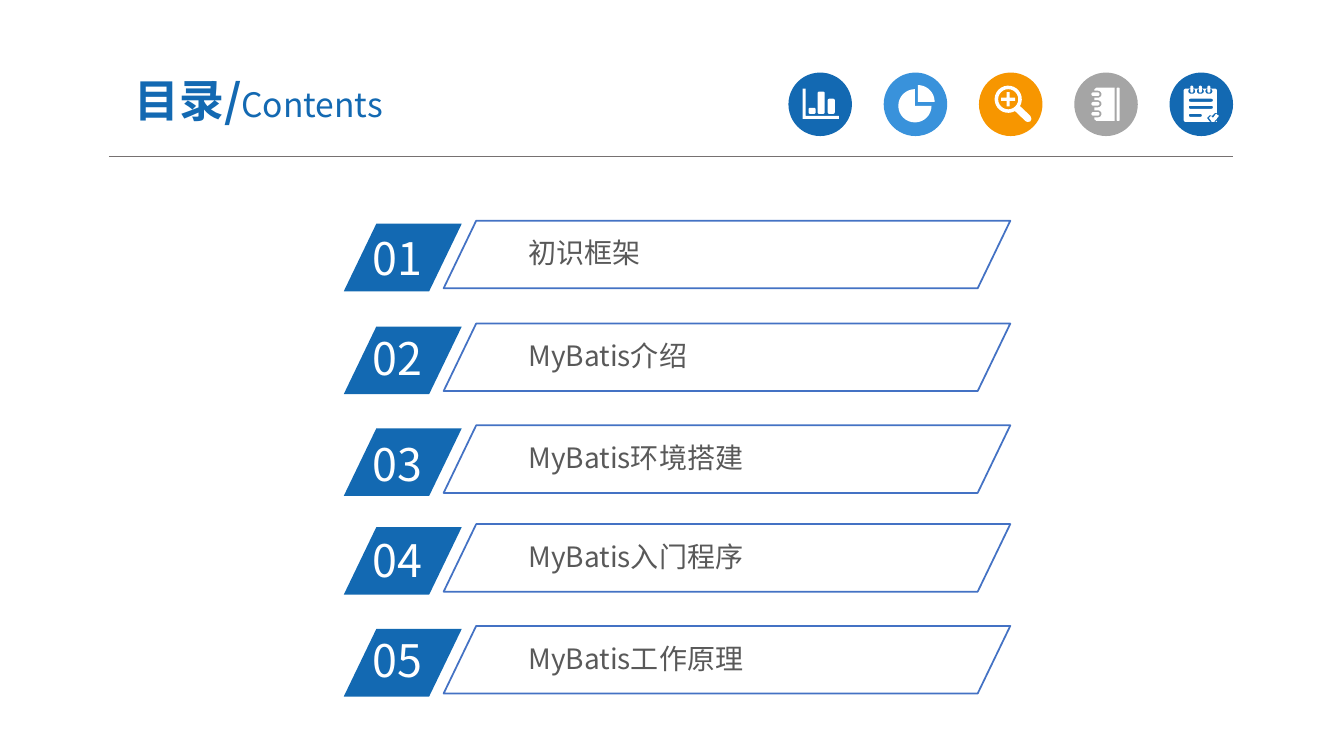
"""Build a contents slide with an icon header and five numbered entries."""
from math import cos, radians, sin

from lxml.etree import SubElement
from pptx import Presentation
from pptx.dml.color import RGBColor
from pptx.enum.shapes import MSO_CONNECTOR as CONN, MSO_SHAPE as SHAPE
from pptx.enum.text import MSO_ANCHOR as ANCHOR, MSO_AUTO_SIZE as AUTO, PP_ALIGN as ALIGN
from pptx.oxml.ns import qn
from pptx.util import Inches, Pt

FONT = "Noto Sans CJK SC"
BLUE, SKY, ORANGE, GREY = "1369B2", "3992DB", "F79600", "A5A5A5"
OUTLINE, RULE, TEXT, WHITE = "4472C4", "767171", "595959", "FFFFFF"


def color(value):
    return RGBColor.from_string(value)


def arc(cx, cy, radius, start=0, end=360, steps=24):
    angles = [radians(start + (end - start) * i / steps) for i in range(steps + 1)]
    return [(cx + radius * cos(a), cy + radius * sin(a)) for a in angles]


def rounded(x, y, w, h, radius):
    corners = [(x + w - radius, y + h - radius), (x + radius, y + h - radius),
               (x + radius, y + radius), (x + w - radius, y + radius)]
    return [point for i, (cx, cy) in enumerate(corners)
            for point in arc(cx, cy, radius, 90 * i, 90 * i + 90, 6)]


def bar_chart():
    axes = [(.14, .16), (.17, .16), (.17, .43), (.5, .43), (.5, .46), (.14, .46)]
    bars = [(.2, .06), (.29, .22), (.39, .15)]
    return [axes] + [rounded(x, .41 - h, .07, h, .015) for x, h in bars]


def pie_chart():
    return [[(.34, .29)] + arc(.34, .29, .165, -90, 0),
            [(.31, .33)] + arc(.31, .33, .165, 0, 270)]


def magnifier():
    cx, cy, long, thin = .29, .265, .07, .015
    handle = [(.51, .43), (.52, .46), (.51, .485), (.48, .49), (.46, .48)]
    quarter = [(thin, -long), (thin, -thin), (long, -thin)]
    plus = []
    for _ in range(4):
        plus += [(cx + x, cy + y) for x, y in quarter]
        quarter = [(-y, x) for x, y in quarter]
    return [arc(cx, cy, .135, 60, 390) + handle, arc(cx, cy, .1), plus]


def notebook():
    rings = (.215, .31, .41)
    body = [(.4, .48), (.4, .15), (.22, .15), (.2, .165)]
    for y in rings:
        body += [(.2, y - .035)] + arc(.235, y, .035, -90, 90, 8) + [(.2, y + .035)]
    body += [(.2, .465), (.22, .48)]
    return [body, rounded(.42, .15, .03, .33, .01)] + [
        rounded(.17, y - .018, .08, .036, .018) for y in rings]


def notepad():
    contours = [rounded(.14, .16, .33, .33, .02)]
    for x in (.205, .29, .375):
        contours += [rounded(x - .02, .16, .07, .05, .025), rounded(x, .13, .03, .07, .015)]
    contours += [rounded(.19, y, w, .03, .015) for y, w in ((.26, .24), (.33, .24), (.41, .13))]
    corner = [(.37, .45), (.4, .42), (.42, .43), (.45, .4), (.47, .4), (.47, .49), (.4, .49)]
    check = [(.39, .45), (.41, .43), (.43, .45), (.46, .41), (.49, .43), (.44, .49), (.42, .49)]
    return contours + [corner, check]


class Deck:
    """Hold the style and the current slide."""

    def __init__(self):
        self.prs = Presentation()
        self.prs.slide_width, self.prs.slide_height = Inches(13.33), Inches(7.5)
        self.s = self.prs.slides.add_slide(self.prs.slide_layouts[6])

    def paint(self, sp, fill=None, line=None, width=1.25):
        sp.shadow.inherit = False
        if fill:
            sp.fill.solid()
            sp.fill.fore_color.rgb = color(fill)
        else:
            sp.fill.background()
        if line:
            sp.line.color.rgb = color(line)
            sp.line.width = Pt(width)
        else:
            sp.line.fill.background()

    def shape(self, kind, box, fill=None, line=None, adj=None):
        sp = self.s.shapes.add_shape(kind, *map(Inches, box))
        if adj is not None:
            sp.adjustments[0] = adj
        self.paint(sp, fill, line)

    def rule(self, x1, x2, y):
        c = self.s.shapes.add_connector(CONN.STRAIGHT, *map(Inches, (x1, y, x2, y)))
        c.line.color.rgb = color(RULE)
        c.line.width = Pt(.5)
        SubElement(c._element.spPr, qn("a:effectLst"))

    def text(self, box, runs, ink, insets=(.1, .05), align=ALIGN.LEFT,
             anchor=ANCHOR.TOP, auto=AUTO.SHAPE_TO_FIT_TEXT):
        tf = self.s.shapes.add_textbox(*map(Inches, box)).text_frame
        tf.word_wrap, tf.auto_size, tf.vertical_anchor = True, auto, anchor
        tf.margin_left = tf.margin_right = Inches(insets[0])
        tf.margin_top = tf.margin_bottom = Inches(insets[1])
        p = tf.paragraphs[0]
        p.alignment = align
        for words, size, bold in runs:
            r = p.add_run()
            r.text = words
            r.font.size, r.font.bold, r.font.name = Pt(size), bold, FONT
            r.font.color.rgb = color(ink)
            SubElement(r.font._element, qn("a:ea"), typeface=FONT)

    def icon(self, x, y, fill, contours):
        self.shape(SHAPE.OVAL, (x, y, .63, .63), fill)
        builder = None
        for contour in contours:
            first, *rest = [(Inches(x + dx), Inches(y + dy)) for dx, dy in contour]
            if builder is None:
                builder = self.s.shapes.build_freeform(*first)
            else:
                builder.move_to(*first)
            builder.add_line_segments(rest, close=True)
        self.paint(builder.convert_to_shape(), WHITE)

    def entry(self, top, number, number_top, title):
        self.shape(SHAPE.PARALLELOGRAM, (3.41, top, 1.17, .67), BLUE, adj=.482)
        self.text((3.6, number_top, 1.12, .64), [(number, 32, False)], WHITE)
        self.text((5.17, top + .08, 4.12, .41), [(title, 20, False)], TEXT, (.07, .04))
        self.shape(SHAPE.PARALLELOGRAM, (4.4, top - .03, 5.62, .67), line=OUTLINE, adj=.482)


def main():
    deck = Deck()
    deck.rule(1.08, 12.23, 1.55)
    icons = [(BLUE, bar_chart), (SKY, pie_chart), (ORANGE, magnifier),
             (GREY, notebook), (BLUE, notepad)]
    for i, (fill, draw) in enumerate(icons):
        deck.icon(7.82 + .945 * i, .72, fill, draw())
    deck.text((.92, .63, 3.29, .72), [("目录/", 32, True), ("Contents", 24, False)], BLUE,
              (.13, .07), ALIGN.CENTER, ANCHOR.MIDDLE, AUTO.NONE)
    entries = [(2.22, 2.24, "初识框架"), (3.24, 3.23, "MyBatis介绍"),
               (4.25, 4.28, "MyBatis环境搭建"), (5.23, 5.24, "MyBatis入门程序"),
               (6.24, 6.23, "MyBatis工作原理")]
    for i, (top, number_top, title) in enumerate(entries, 1):
        deck.entry(top, f"{i:02d}", number_top, title)
    deck.prs.save("out.pptx")


if __name__ == "__main__":
    main()
